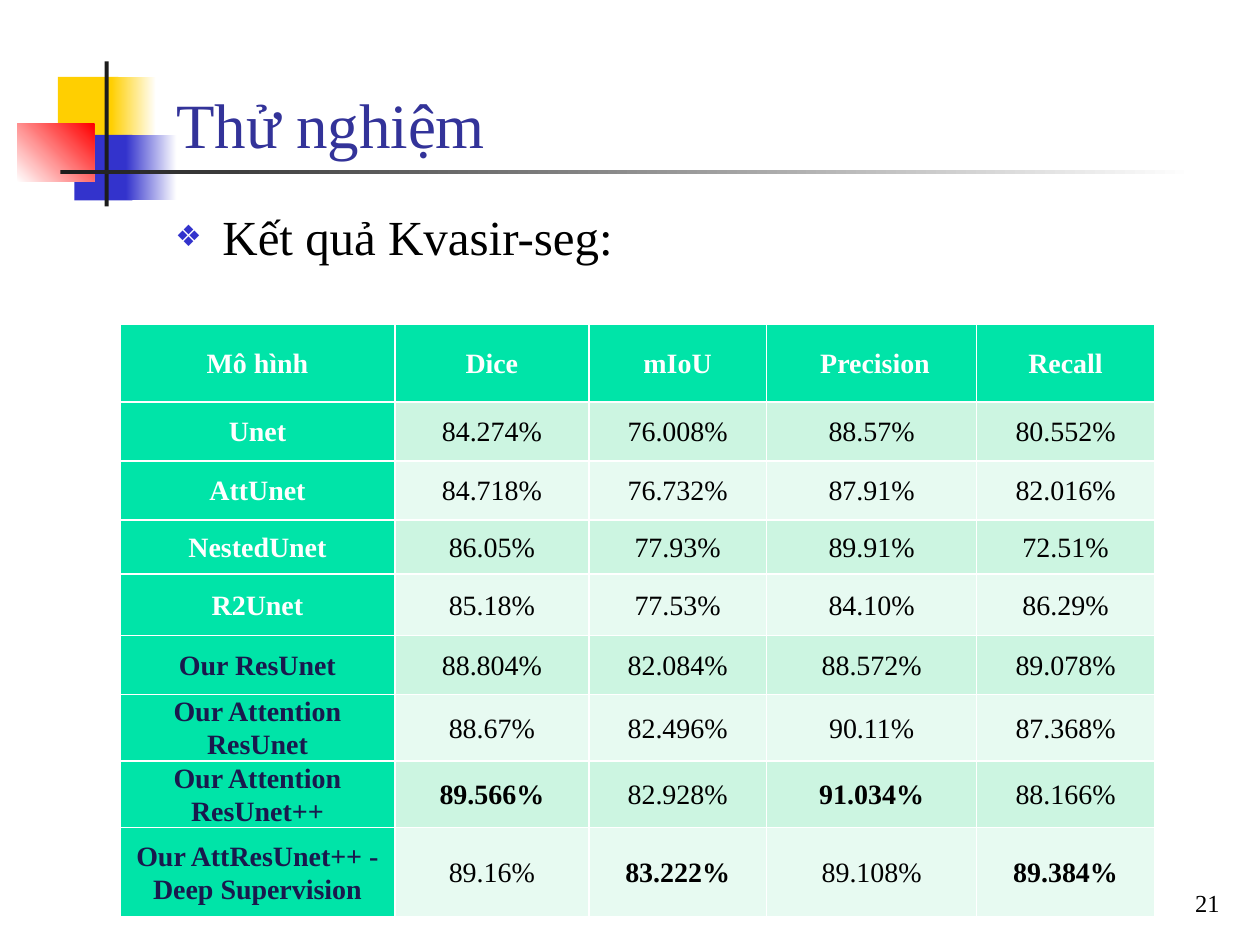
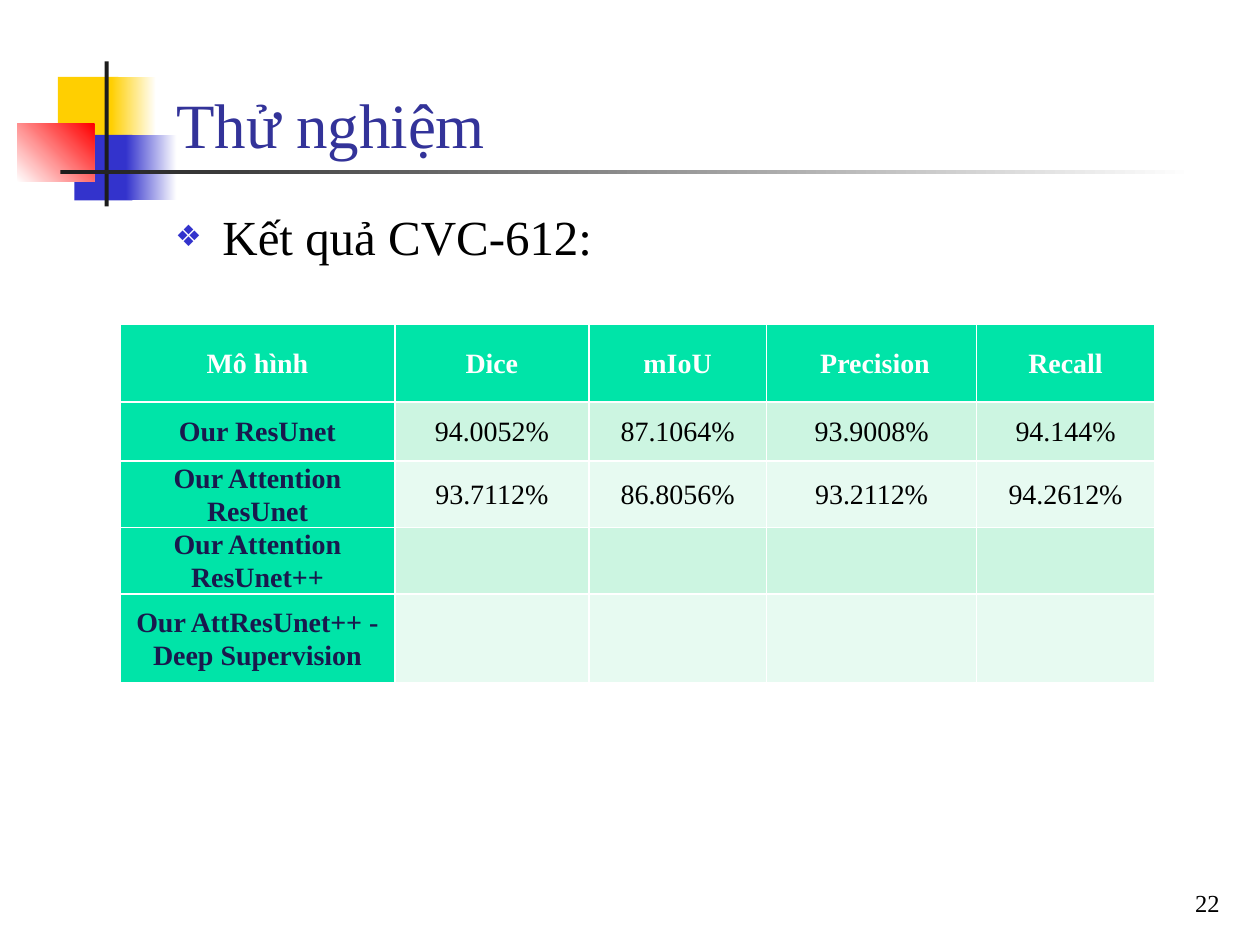
"""Build two slides of segmentation results, each with a table of scores."""
from lxml import etree
from pptx import Presentation
from pptx.dml.color import RGBColor
from pptx.enum import shapes, text
from pptx.oxml import ns
from pptx.util import Cm, Pt

FONT = "Times New Roman"
HUES = {
    "gold": "FFCF01", "blue": "3333CC", "red": "FF0000", "dark": "1C1C1C",
    "white": "FFFFFF", "black": "000000", "title": "333399", "navy": "19194D",
    "green": "00E4A8", "mint": "CCF5E1", "pale": "E7FAF1",
}
LEFT, MID, RIGHT = text.PP_ALIGN.LEFT, text.PP_ALIGN.CENTER, text.PP_ALIGN.RIGHT
TOP, LOW = text.MSO_ANCHOR.TOP, text.MSO_ANCHOR.BOTTOM


def hue(name):
    return RGBColor.from_string(HUES[name])


def write(frame, words, size=16, color="black", bold=False, align=LEFT, anchor=None, lead=None):
    if anchor is not None:
        frame.word_wrap = True
        frame.auto_size = text.MSO_AUTO_SIZE.NONE
        frame.vertical_anchor = anchor
    para = frame.paragraphs[0]
    para.alignment = align
    if lead:
        para.line_spacing = lead
    run = para.add_run()
    run.text = words
    run.font.name, run.font.size, run.font.bold = FONT, Pt(size), bold
    run.font.color.rgb = hue(color)
    return para


DECOR = [
    (1.17, 1.55, 1.22, 1.32, ["gold"], 0),
    (2.24, 1.55, 0.91, 1.32, ["gold", "white"], 0),
    (1.5, 2.72, 1.17, 1.32, ["blue"], 0),
    (2.54, 2.72, 1.02, 1.32, ["blue", "white"], 0),
    (0.35, 2.5, 1.55, 1.17, ["white", "red"], 45),
    (2.11, 1.24, 0.08, 2.92, ["dark"], 0),
    (1.22, 3.43, 22.86, 0.08, ["dark", "white"], 0),
]
HEAD = ["Mô hình", "Dice", "mIoU", " Precision", "Recall"]
WIDTHS = [5.54, 3.91, 3.58, 4.24, 3.58]
OURS = ["Our ResUnet", "Our Attention ResUnet", "Our Attention ResUnet++",
        "Our AttResUnet++ - Deep Supervision"]
BEST = {"89.566%", "91.034%", "83.222%", "89.384%"}
PAGES = [
    ("21", "Kết quả Kvasir-seg:",
     [1.57, 1.19, 1.19, 1.09, 1.24, 1.19, 1.19, 1.19, 1.8],
     [["Unet", "84.274%", "76.008%", "88.57%", "80.552%"],
      ["AttUnet", "84.718%", "76.732%", "87.91%", "82.016%"],
      ["NestedUnet", "86.05%", "77.93%", "89.91%", "72.51%"],
      ["R2Unet", "85.18%", "77.53%", "84.10%", "86.29%"],
      [OURS[0], "88.804%", "82.084%", "88.572%", "89.078%"],
      [OURS[1], "88.67%", "82.496%", "90.11%", "87.368%"],
      [OURS[2], "89.566%", "82.928%", "91.034%", "88.166%"],
      [OURS[3], "89.16%", "83.222%", "89.108%", "89.384%"]]),
    ("22", "Kết quả CVC-612:",
     [1.57, 1.19, 1.19, 1.19, 1.8],
     [[OURS[0], "94.0052%", "87.1064%", "93.9008%", "94.144%"],
      [OURS[1], "93.7112%", "86.8056%", "93.2112%", "94.2612%"],
      [OURS[2], "", "", "", ""],
      [OURS[3], "", "", "", ""]]),
]

deck = Presentation()
deck.slide_width, deck.slide_height = Cm(25.4), Cm(19.05)
layout = deck.slide_layouts[1]
slides = [deck.slides.add_slide(layout) for page in PAGES]

for at, (x, y, w, h, tones, angle) in enumerate(DECOR):
    box = slides[0].shapes.add_shape(shapes.MSO_SHAPE.RECTANGLE, Cm(x), Cm(y), Cm(w), Cm(h))
    box.shadow.inherit = False
    box.line.fill.background()
    if len(tones) == 1:
        box.fill.solid()
        box.fill.fore_color.rgb = hue(tones[0])
    else:
        box.fill.gradient()
        box.fill.gradient_angle = angle
        for stop, tone in zip(box.fill.gradient_stops, tones):
            stop.color.rgb = hue(tone)
    layout.shapes._spTree.insert(2 + at, box._element)

for slide, (number, topic, heights, rows) in zip(slides, PAGES):
    title, body = slide.placeholders
    title.left, title.top, title.width, title.height = Cm(3.3), Cm(0.58), Cm(21.54), Cm(2.79)
    write(title.text_frame, "Thử nghiệm", size=36, color="title", anchor=LOW)

    body.left, body.top, body.width, body.height = Cm(3.28), Cm(4.04), Cm(21.59), Cm(13)
    props = write(body.text_frame, topic, size=28, anchor=TOP)._p.get_or_add_pPr()
    props.set("marL", str(Cm(0.95)))
    props.set("indent", str(-Cm(0.95)))
    tint = etree.SubElement(props, ns.qn("a:buClr"))
    etree.SubElement(tint, ns.qn("a:srgbClr"), val=HUES["blue"])
    etree.SubElement(props, ns.qn("a:buSzPct"), val="60000")
    etree.SubElement(props, ns.qn("a:buChar"), char="❖")

    foot = slide.shapes.add_textbox(Cm(19.56), Cm(17.35), Cm(5.28), Cm(1.27))
    write(foot.text_frame, number, size=14, align=RIGHT, anchor=LOW)

    grid = slide.shapes.add_table(len(heights), len(WIDTHS), Cm(2.42), Cm(6.53),
                                  Cm(sum(WIDTHS)), Cm(sum(heights))).table
    grid.first_col = True
    for col, width in zip(grid.columns, WIDTHS):
        col.width = Cm(width)
    for r, (height, line) in enumerate(zip(heights, [HEAD] + rows)):
        grid.rows[r].height = Cm(height)
        for c, words in enumerate(line):
            cell = grid.cell(r, c)
            cell.vertical_anchor = text.MSO_ANCHOR.MIDDLE
            cell.margin_left = cell.margin_right = Cm(0.18)
            cell.margin_top = cell.margin_bottom = 0
            label = r == 0 or c == 0
            cell.fill.solid()
            cell.fill.fore_color.rgb = hue("green" if label else "mint" if r % 2 else "pale")
            if words:
                ink = "navy" if words in OURS else "white" if label else "black"
                write(cell.text_frame, words, color=ink, bold=label or words in BEST,
                      align=MID, lead=1.07)

deck.save("out.pptx")
